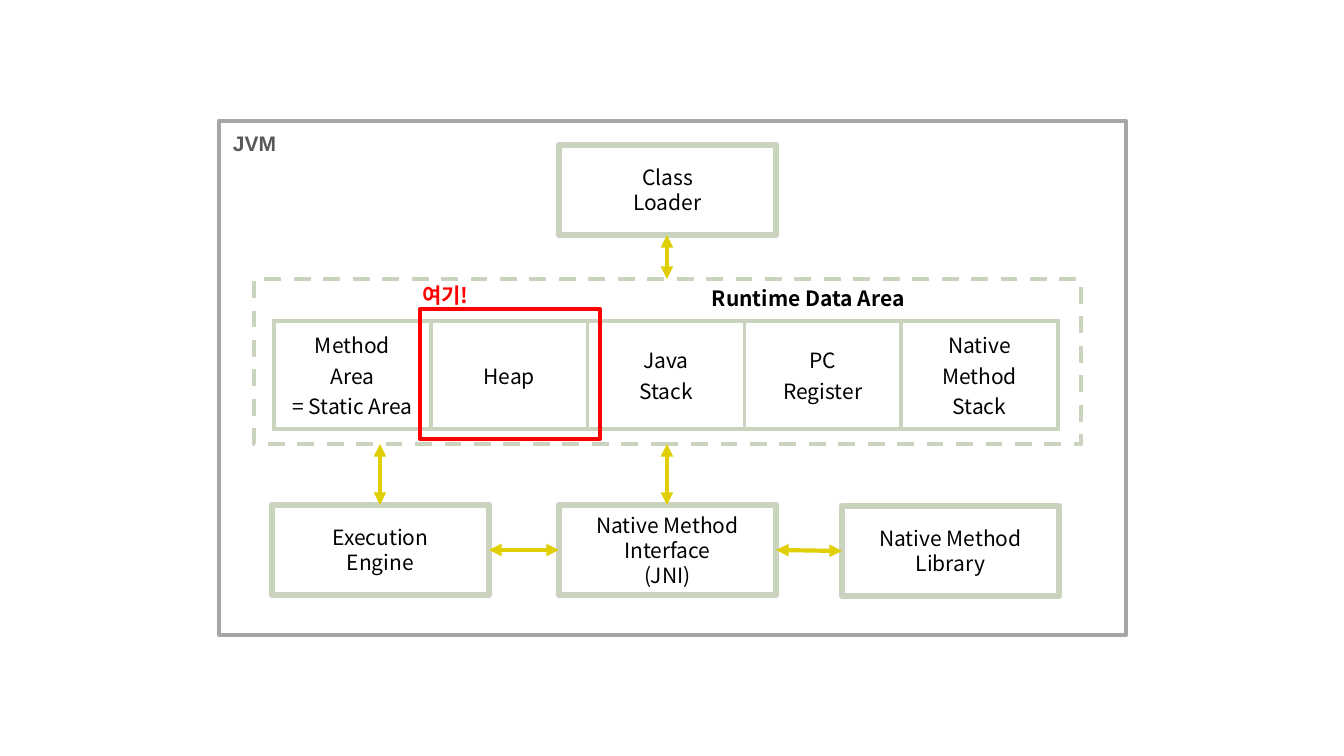
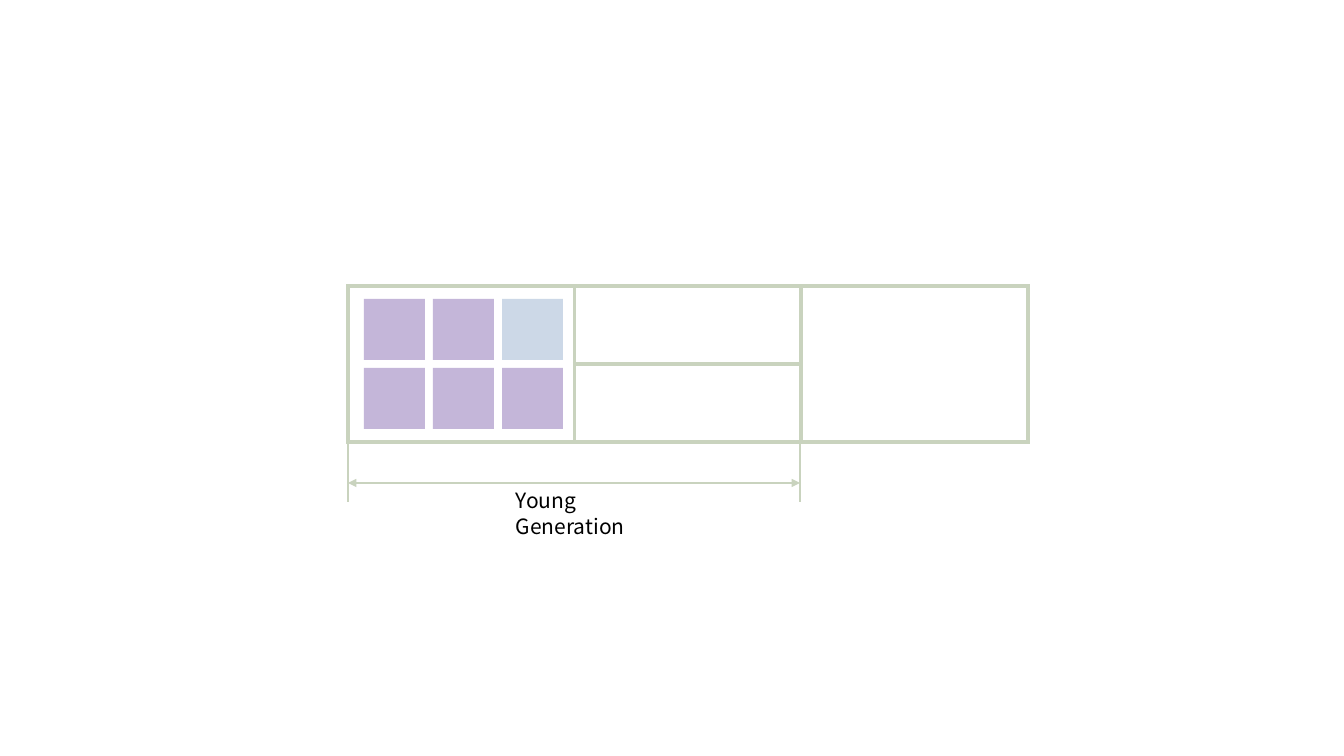
from dataclasses import dataclass
from lxml.etree import SubElement
from pptx import Presentation
from pptx.dml.color import RGBColor
from pptx.enum.dml import MSO_LINE
from pptx.enum.shapes import MSO_CONNECTOR, MSO_SHAPE
from pptx.enum.text import MSO_ANCHOR, PP_ALIGN
from pptx.oxml.ns import qn
from pptx.util import Pt


@dataclass(frozen=True)
class Theme:
    sage: str = "C9D3BE"
    yellow: str = "DFCF04"
    gray: str = "A6A6A6"
    dark_gray: str = "595959"
    red: str = "FF0000"
    black: str = "000000"
    purple: str = "C4B6D9"
    blue: str = "CCD8E7"
    font: str = "Noto Sans CJK KR"
    label_font: str = "Arial"
    size: float = 15
    tight_spacing: float = 18
    thin: float = 1.5
    medium: float = 3
    thick: float = 4.5


THEME = Theme()
SLIDE_WIDTH, SLIDE_HEIGHT = 1344, 756


def px(length):
    """Turn pixels into EMU at 100.8 pixels to the inch."""
    return round(length * 914400 / 100.8)


def rgb(color):
    return RGBColor.from_string(color)


def write_text(frame, text, color=THEME.black, font=THEME.font, bold=False,
               align=PP_ALIGN.CENTER, spacing=THEME.tight_spacing):
    """Write each line of the text as one paragraph."""
    for index, line in enumerate(text.split("\n")):
        paragraph = frame.paragraphs[0] if index == 0 else frame.add_paragraph()
        paragraph.alignment = align
        if spacing:
            paragraph.line_spacing = Pt(spacing)
        run = paragraph.add_run()
        run.text = line
        run.font.size = Pt(THEME.size)
        run.font.bold = bold
        run.font.name = font
        run.font.color.rgb = rgb(color)
        east_asian = SubElement(run.font._element, qn("a:ea"))
        east_asian.set("typeface", font)


class Deck:
    """Holds the presentation and draws on its current slide."""

    def __init__(self):
        self.presentation = Presentation()
        self.presentation.slide_width = px(SLIDE_WIDTH)
        self.presentation.slide_height = px(SLIDE_HEIGHT)
        self.slide = None

    def new_slide(self):
        blank = self.presentation.slide_layouts[6]
        self.slide = self.presentation.slides.add_slide(blank)

    def box(self, left, top, width, height, text="", fill=None, line=None,
            weight=THEME.medium, dashed=False):
        shape = self.slide.shapes.add_shape(
            MSO_SHAPE.RECTANGLE, px(left), px(top), px(width), px(height))
        shape.shadow.inherit = False
        if fill:
            shape.fill.solid()
            shape.fill.fore_color.rgb = rgb(fill)
        else:
            shape.fill.background()
        if line:
            shape.line.color.rgb = rgb(line)
            shape.line.width = Pt(weight)
        else:
            shape.line.fill.background()
        if dashed:
            shape.line.dash_style = MSO_LINE.DASH
        if text:
            shape.text_frame.vertical_anchor = MSO_ANCHOR.MIDDLE
            write_text(shape.text_frame, text)

    def label(self, left, top, width, text, height=35, **text_format):
        shape = self.slide.shapes.add_textbox(
            px(left), px(top), px(width), px(height))
        shape.text_frame.word_wrap = True
        write_text(shape.text_frame, text, **text_format)

    def line(self, start, end, color, weight, arrows=False):
        connector = self.slide.shapes.add_connector(
            MSO_CONNECTOR.STRAIGHT, *map(px, start + end))
        connector.line.color.rgb = rgb(color)
        connector.line.width = Pt(weight)
        properties = connector.element.spPr
        if arrows:
            outline = properties.find(qn("a:ln"))
            for tag in ("a:headEnd", "a:tailEnd"):
                SubElement(outline, qn(tag)).set("type", "triangle")
        SubElement(properties, qn("a:effectLst"))

    def table(self, left, top, width, height, rows, columns):
        table = self.slide.shapes.add_table(
            rows, columns, px(left), px(top), px(width), px(height)).table
        table.first_row = table.horz_banding = False
        for cell in table.iter_cells():
            self.cell_borders(cell)
            cell.fill.background()
            cell.vertical_anchor = MSO_ANCHOR.MIDDLE
        return table

    def cell_borders(self, cell):
        properties = cell._tc.get_or_add_tcPr()
        for side in "LRTB":
            border = SubElement(properties, qn(f"a:ln{side}"))
            border.set("w", str(Pt(THEME.medium)))
            fill = SubElement(border, qn("a:solidFill"))
            SubElement(fill, qn("a:srgbClr")).set("val", THEME.sage)


def build_jvm(deck):
    deck.new_slide()

    # Components around the runtime data area
    for left, top, text in (
            (559, 145, "Class\nLoader"),
            (272, 505, "Execution\nEngine"),
            (559, 505, "Native Method\nInterface\n(JNI)"),
            (842, 506, "Native Method\nLibrary")):
        deck.box(left, top, 217, 90, text, line=THEME.sage, weight=THEME.thick)

    # Runtime data area
    deck.box(254, 279, 827, 165, line=THEME.sage, dashed=True)
    areas = ("Method\nArea\n= Static Area", "Heap", "Java\nStack",
             "PC\nRegister", "Native\nMethod\nStack")
    table = deck.table(274, 321, 784, 108, 1, len(areas))
    for cell, area in zip(table.iter_cells(), areas):
        write_text(cell.text_frame, area, spacing=None)
    deck.label(702, 281, 262, "Runtime Data Area", bold=True,
               align=PP_ALIGN.LEFT)

    # Two-way arrows
    for start, end in (((667, 235), (667, 279)), ((667, 444), (667, 505)),
                       ((380, 444), (380, 505)), ((842, 551), (776, 550)),
                       ((559, 550), (489, 550))):
        deck.line(start, end, THEME.yellow, THEME.medium, arrows=True)

    # Outer frame
    deck.box(219, 121, 907, 514, line=THEME.gray)
    deck.label(222, 126, 65, "JVM", color=THEME.dark_gray,
               font=THEME.label_font, bold=True)

    # Heap highlight
    deck.box(420, 309, 180, 130, line=THEME.red)
    deck.label(397, 278, 97, "여기!", color=THEME.red, bold=True)


def build_heap(deck):
    deck.new_slide()
    left, right = 348, 800

    # Heap regions
    deck.label(506, 483, 174, "Young Generation", align=PP_ALIGN.LEFT)
    table = deck.table(left, 286, 680, 156, 2, 3)
    for column in (0, 2):
        table.cell(0, column).merge(table.cell(1, column))

    # Young generation dimension
    for x in (left, right):
        deck.line((x, 443), (x, 502), THEME.sage, THEME.thin)
    deck.line((left, 483), (right, 483), THEME.sage, THEME.thin, arrows=True)

    # Objects in the first region
    side, pitch = 61, 69
    for row in range(2):
        for column in range(3):
            newest = (row, column) == (0, 2)
            deck.box(364 + column * pitch, 299 + row * pitch, side, side,
                     fill=THEME.blue if newest else THEME.purple)


deck = Deck()
build_jvm(deck)
build_heap(deck)
deck.presentation.save("out.pptx")
